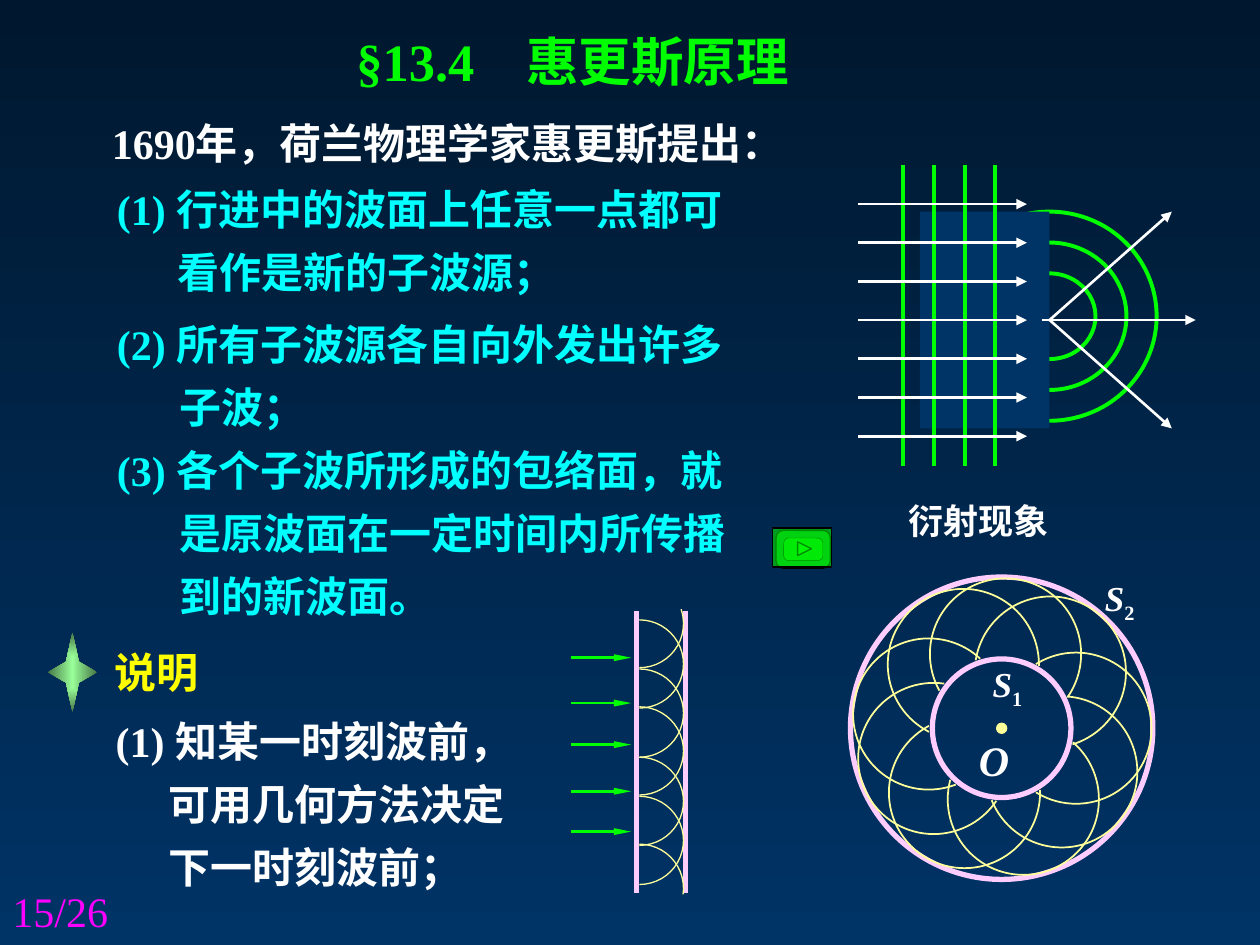
import pptx
import pptx.util
import pptx.dml.color
import pptx.enum.shapes
import pptx.enum.text
import pptx.oxml
import pptx.oxml.ns
from lxml import etree

Inches = pptx.util.Inches
RGBColor = pptx.dml.color.RGBColor
Kind = pptx.enum.shapes.MSO_SHAPE
qn = pptx.oxml.ns.qn

NIGHT = RGBColor(0x00, 0x18, 0x2F)
NAVY = RGBColor(0x00, 0x33, 0x66)
GREEN = RGBColor(0x00, 0xFF, 0x00)
MINT = RGBColor(0x99, 0xFF, 0x99)
MOSS = RGBColor(0x47, 0x76, 0x47)
CYAN = RGBColor(0x00, 0xFF, 0xFF)
WHITE = RGBColor(0xFF, 0xFF, 0xFF)
BLACK = RGBColor(0x00, 0x00, 0x00)
YELLOW = RGBColor(0xFF, 0xFF, 0x00)
CREAM = RGBColor(0xFF, 0xFF, 0x99)
PINK = RGBColor(0xFF, 0xCC, 0xFF)
PURPLE = RGBColor(0xFF, 0x00, 0xFF)


def write(slide, text, box, color=WHITE, size=24, bold=True, italic=False,
          sub="", hang=0, space=None, tab=None):
    """Place a text box with an optional subscript, hanging indent and tab stop."""
    shape = slide.shapes.add_textbox(*map(Inches, box))
    frame = shape.text_frame
    frame.word_wrap = True
    frame.auto_size = pptx.enum.text.MSO_AUTO_SIZE.SHAPE_TO_FIT_TEXT
    para = frame.paragraphs[0]
    props = para._p.get_or_add_pPr()
    if hang:
        props.set("marL", str(Inches(hang)))
        props.set("indent", str(-Inches(hang)))
    if space:
        para.line_spacing = space
    if tab:
        stops = etree.SubElement(props, qn("a:tabLst"))
        etree.SubElement(stops, qn("a:tab"), pos=str(Inches(tab)), algn="l")
    for part in filter(None, (text, sub)):
        run = para.add_run()
        run.text = part
        font = run.font
        font.name, font.size, font.bold = "Times New Roman", pptx.util.Pt(size), bold
        font.italic = italic and part is text
        font.color.rgb = color
        if part is sub:
            run._r.get_or_add_rPr().set("baseline", "-25000")


def draw(slide, kind, box, fill=None, line=None, width=0.75, alpha=None, adjust=()):
    """Place a preset shape with plain fill and line."""
    shape = slide.shapes.add_shape(kind, *map(Inches, box))
    shape.shadow.inherit = False
    for index, value in enumerate(adjust):
        shape.adjustments[index] = value
    if fill is None:
        shape.fill.background()
    else:
        shape.fill.solid()
        shape.fill.fore_color.rgb = fill
    if alpha:
        color = shape._element.spPr.find(qn("a:solidFill"))[0]
        etree.SubElement(color, qn("a:alpha"), val=str(alpha * 1000))
    if line is None:
        shape.line.fill.background()
    else:
        shape.line.color.rgb = line
        shape.line.width = pptx.util.Pt(width)
    return shape


def disc(slide, x, y, wide, high, **style):
    """Place an ellipse around a centre."""
    return draw(slide, Kind.OVAL, (x - wide / 2, y - high / 2, wide, high), **style)


def arc(slide, x, y, radius, start, end, width):
    """Place a clockwise arc between two angles in degrees."""
    turns = [angle % 360 * 0.6 for angle in (start, end)]
    box = (x - radius, y - radius, 2 * radius, 2 * radius)
    draw(slide, Kind.ARC, box, line=CREAM, width=width, adjust=turns)


def rule(slide, start, end, color, width, head=None):
    """Draw a straight line, with an arrowhead of the given width and length."""
    straight = pptx.enum.shapes.MSO_CONNECTOR.STRAIGHT
    line = slide.shapes.add_connector(straight, *map(Inches, start + end))
    line.line.color.rgb = color
    line.line.width = pptx.util.Pt(width)
    if head:
        etree.SubElement(line.line._get_or_add_ln(), qn("a:tailEnd"),
                         type="triangle", w=head[0], len=head[1])
    etree.SubElement(line._element.spPr, qn("a:effectLst"))
    return line


def blend(fill, first, last):
    """Give a fill two gradient colours."""
    fill.gradient()
    for stop, color, place in zip(fill.gradient_stops, (first, last), (0, 1)):
        stop.color.rgb = color
        stop.position = place


def star(slide, box):
    """Place the four-pointed marker with a gradient from its centre."""
    shape = draw(slide, Kind.STAR_4_POINT, box, adjust=[0.185])
    blend(shape.fill, MINT, MOSS)
    grad = shape._element.spPr.find(qn("a:gradFill"))
    grad.remove(grad.find(qn("a:lin")))
    way = etree.SubElement(grad, qn("a:path"))
    way.set("path", "shape")
    etree.SubElement(way, qn("a:fillToRect"), l="50000", t="50000", r="50000", b="50000")


def bend(slide, x, y):
    """Draw plane waves that spread behind a gap."""
    gap = (x + 1.52, y + 1.23)
    for wide, high in ((1.22, 1.17), (0.73, 0.68), (1.7, 1.66)):
        disc(slide, gap[0], gap[1] - 0.03, wide, high, line=GREEN, width=2.25)
    wall = draw(slide, Kind.RECTANGLE, (x + 0.49, y + 0.37, 1.03, 1.72), fill=NAVY)
    for step in range(4):
        left = x + 0.36 + 0.243 * step
        rule(slide, (left, y), (left, y + 2.39), GREEN, 2.25)
    for step in range(7):
        top = y + 0.31 + 0.307 * step
        rule(slide, (x, top), (x + 1.34, top), WHITE, 1.5, ("med", "med"))
    for rise in (-0.86, 0.86):
        ray = rule(slide, gap, (x + 2.49, gap[1] + rise), WHITE, 1.5, ("med", "med"))
        ray.begin_connect(wall, 3)
    rule(slide, (x + 1.46, gap[1]), (x + 2.68, gap[1]), WHITE, 1.5, ("med", "med"))
    write(slide, "衍射现象", (x + 0.3, y + 2.52, 1.88, 0.52), size=20, space=1.25)


def plane(slide, x, y):
    """Draw the wavelets between two plane wave fronts."""
    for top in (0.37, 0.73, 1.06, 1.43, 1.75):
        rule(slide, (x, y + top), (x + 0.48, y + top), GREEN, 1.5, ("sm", "lg"))
    for left in (0.52, 0.91):
        rule(slide, (x + left, y), (x + left, y + 2.24), PINK, 3)
    spots = (0.1, 0.42, 0.81, 1.11, 1.51, 1.82, 2.2)
    for spot in spots:
        start = -19 if spot == spots[0] else -90
        end = 8 if spot == spots[-1] else 90
        arc(slide, x + 0.545, y + spot, 0.35, start, end, 0.75)


def ring(slide, x, y):
    """Draw the wavelets between two round wave fronts about a centre."""
    for size in (1.1, 2.4):
        disc(slide, x, y, size, size, line=PINK, width=3)
    for angle in (-87, -49, 0, 36, 73, 120, 156, 191, 239):
        spot = pptx.util.Emu(0)
        radians = math.radians(angle)
        spot = (x + 0.59 * math.cos(radians), y + 0.59 * math.sin(radians))
        arc(slide, *spot, 0.6, angle - 122, angle + 122, 1)
    disc(slide, x, y, 0.08, 0.08, fill=CREAM, line=CREAM)
    write(slide, "S", (x - 0.17, y - 0.57, 0.56, 0.43), size=20, italic=True, sub="1")
    write(slide, "S", (x + 0.72, y - 1.25, 0.71, 0.43), size=20, italic=True, sub="2")
    write(slide, "O", (x - 0.28, y, 0.61, 0.5), italic=True)


def button(slide, x, y):
    """Place the green play button."""
    look = {"fill": GREEN, "line": BLACK, "alpha": 54}
    round_box = Kind.ROUNDED_RECTANGLE
    draw(slide, round_box, (x + 0.03, y + 0.02, 0.43, 0.3), adjust=[0.19], **look)
    draw(slide, round_box, (x + 0.09, y + 0.08, 0.31, 0.18), adjust=[0.22], width=0.25, **look)
    mark = draw(slide, Kind.ISOSCELES_TRIANGLE, (x + 0.2, y + 0.11, 0.11, 0.11), **look)
    mark.rotation = 90
    draw(slide, Kind.RECTANGLE, (x, y, 0.47, 0.31), **look)


def prose(slide, x, y):
    """Write the title, the principle and the remark."""
    write(slide, "§13.4\t惠更斯原理", (x + 1.93, y, 4.91, 0.61), color=GREEN, size=30, tab=1.35)
    write(slide, "1690年，荷兰物理学家惠更斯提出：", (x - 0.01, y + 0.6, 6.55, 0.61), space=1.25)
    points = (
        ("(1) 行进中的波面上任意一点都可看作是新的子波源；", 1.13, 5.27, 1.1, 0.48),
        ("(2) 所有子波源各自向外发出许多子波；", 2.2, 5.11, 1.1, 0.5),
        ("(3) 各个子波所形成的包络面，就是原波面在一定时间内所传播到的新波面。", 3.2, 5.27, 1.6, 0.5),
    )
    for text, top, wide, high, hang in points:
        write(slide, text, (x + 0.03, y + top, wide, high), color=CYAN, hang=hang, space=1.25)
    star(slide, (x - 0.42, y + 4.84, 0.39, 0.63))
    write(slide, "说明", (x + 0.01, y + 4.9, 1.83, 0.5), color=YELLOW)
    write(slide, "(1) 知某一时刻波前，可用几何方法决定下一时刻波前；",
          (x + 0.02, y + 5.35, 3.45, 1.6), hang=0.42, space=1.25)
    write(slide, "15/26", (x - 0.8, y + 6.8, 2.33, 0.52), color=PURPLE, bold=False)


def main():
    """Build the slide and save it."""
    deck = pptx.Presentation()
    deck.slide_width, deck.slide_height = Inches(10), Inches(7.5)
    slide = deck.slides.add_slide(deck.slide_layouts[6])
    back = slide.background.fill
    blend(back, NIGHT, NAVY)
    back.gradient_angle = 270
    bend(slide, 6.81, 1.31)
    prose(slide, 0.8, 0.18)
    button(slide, 6.13, 4.19)
    plane(slide, 4.53, 4.85)
    ring(slide, 7.95, 5.78)
    deck.save("out.pptx")


import math

if __name__ == "__main__":
    main()
